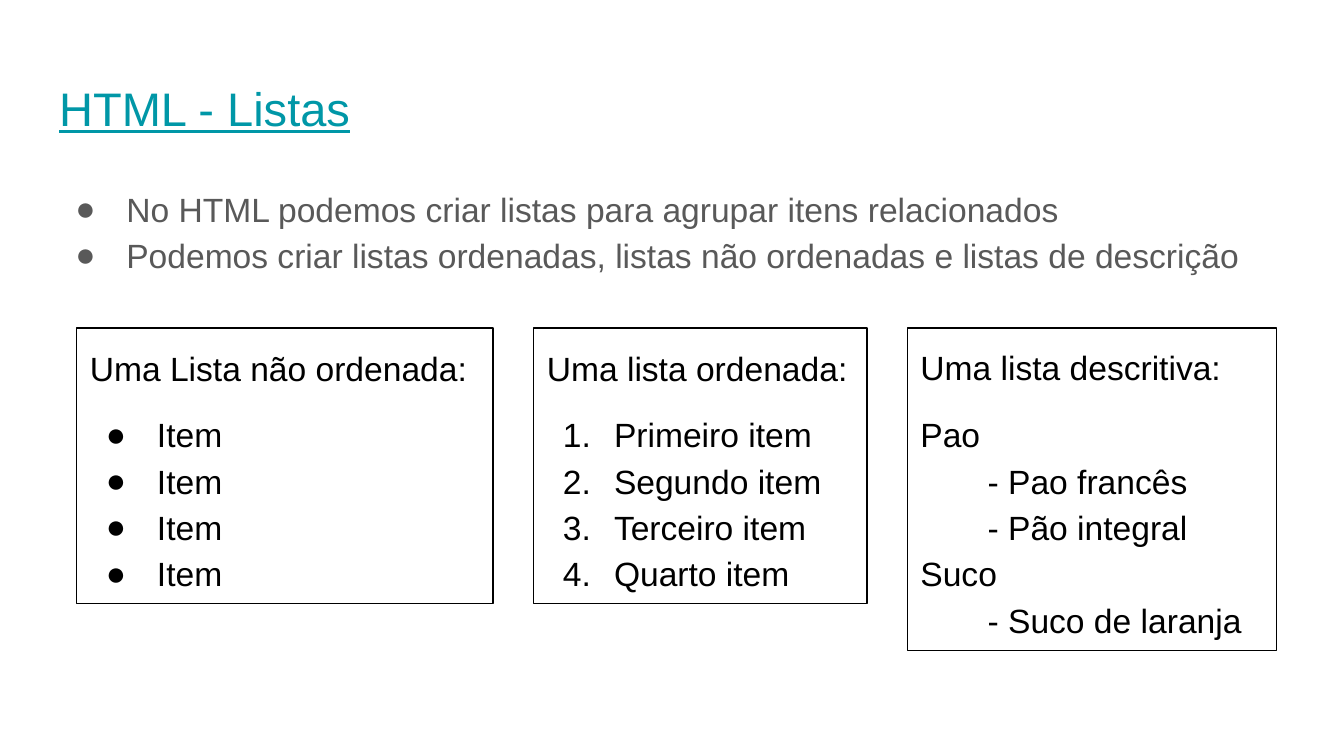
from dataclasses import dataclass

from lxml.etree import SubElement
from pptx import Presentation
from pptx.dml.color import RGBColor
from pptx.enum.shapes import MSO_SHAPE
from pptx.enum.text import MSO_ANCHOR, MSO_AUTO_SIZE, PP_ALIGN
from pptx.oxml.ns import qn
from pptx.util import Inches, Pt


@dataclass(frozen=True)
class Theme:
    """Colours, font and sizes of the slide."""

    font: str = "Arial"
    link: str = "0097A7"
    body: str = "595959"
    ink: str = "000000"
    title_size: float = 25.2
    text_size: float = 18
    line_width: float = 0.75
    line_spacing: float = 1.15
    block_gap: float = 11


THEME = Theme()
SLIDE_WIDTH = Inches(10)
SLIDE_HEIGHT = SLIDE_WIDTH * 9 // 16
COLUMNS = 1000
CELL = SLIDE_WIDTH // COLUMNS
MARGIN, CONTENT_WIDTH = 34, 932
BOX_LEFT, BOX_TOP, BOX_GAP = 57, 244, 30
BOX_PADDING, LINE_ROWS = 30, 35

INDENTS = {
    "plain": (0, 0),
    "nested": (0, 0.5),
    "bullet": (0.5, -0.38),
    "number": (0.5, -0.38),
}
MARKERS = {
    "bullet": ("a:buChar", {"char": "●"}),
    "number": ("a:buAutoNum", {"type": "arabicPeriod"}),
}
TOPICS = [
    ("bullet", "No HTML podemos criar listas para agrupar itens relacionados"),
    ("bullet", "Podemos criar listas ordenadas, listas não ordenadas e listas de descrição"),
]
ORDINALS = ("Primeiro", "Segundo", "Terceiro", "Quarto")
BOXES = [
    (310, "Uma Lista não ordenada:", [("bullet", "Item")] * 4),
    (248, "Uma lista ordenada:", [("number", f"{ordinal} item") for ordinal in ORDINALS]),
    (275, "Uma lista descritiva:", [
        ("plain", "Pao"),
        ("nested", "- Pao francês"),
        ("nested", "- Pão integral"),
        ("plain", "Suco"),
        ("nested", "- Suco de laranja"),
    ]),
]


def apply_format(target, values):
    """Set each named attribute on the target."""
    for name, value in values.items():
        setattr(target, name, value)


def place(column, row, columns, rows):
    """Return a position and size in slide units from grid cells."""
    return {
        "left": column * CELL,
        "top": row * CELL,
        "width": columns * CELL,
        "height": rows * CELL,
    }


def prepare_frame(shape):
    """Give the shape an empty, top-anchored, wrapping text frame."""
    frame = shape.text_frame
    apply_format(frame, {
        "word_wrap": True,
        "auto_size": MSO_AUTO_SIZE.NONE,
        "vertical_anchor": MSO_ANCHOR.TOP,
        **{f"margin_{side}": Inches(0.1) for side in ("left", "top", "right", "bottom")},
    })
    return frame


def write_run(paragraph, text, color, size, underline=None):
    """Add one formatted run of text."""
    run = paragraph.add_run()
    run.text = text
    apply_format(run.font, {"name": THEME.font, "size": Pt(size), "underline": underline})
    run.font.color.rgb = RGBColor.from_string(color)


def add_marker(properties, kind, color):
    """Add a coloured bullet or number to paragraph properties."""
    bullet_color = SubElement(properties, qn("a:buClr"))
    SubElement(bullet_color, qn("a:srgbClr"), val=color)
    SubElement(properties, qn("a:buFont"), typeface=THEME.font)
    tag, attributes = MARKERS[kind]
    SubElement(properties, qn(tag), **attributes)


def write_lines(frame, lines, color, spaced_lines=0):
    """Write list lines, with a gap before the first few of them."""
    for index, (kind, text) in enumerate(lines):
        paragraph = frame.add_paragraph() if index else frame.paragraphs[0]
        apply_format(paragraph, {
            "alignment": PP_ALIGN.LEFT,
            "line_spacing": THEME.line_spacing,
            "space_before": Pt(THEME.block_gap if index < spaced_lines else 0),
            "space_after": Pt(0),
        })
        properties = paragraph._p.get_or_add_pPr()
        for name, length in zip(("marL", "indent"), INDENTS[kind]):
            properties.set(name, str(Inches(length)))
        if kind in MARKERS:
            add_marker(properties, kind, color)
        write_run(paragraph, text, color, THEME.text_size)


def fill_title(slide, text):
    """Place and write the underlined title."""
    title = slide.shapes.title
    apply_format(title, place(MARGIN, 49, CONTENT_WIDTH, 63))
    paragraph = prepare_frame(title).paragraphs[0]
    apply_format(paragraph, {"alignment": PP_ALIGN.LEFT, "space_before": Pt(0)})
    write_run(paragraph, text, THEME.link, THEME.title_size, underline=True)


def fill_body(slide, lines):
    """Place and write the main bullet list."""
    body = slide.placeholders[1]
    apply_format(body, place(MARGIN, 126, CONTENT_WIDTH, 374))
    write_lines(prepare_frame(body), lines, THEME.body)


def add_list_box(slide, column, columns, heading, items):
    """Add an outlined box with a heading and its example list."""
    lines = [("plain", heading), *items]
    area = place(column, BOX_TOP, columns, BOX_PADDING + LINE_ROWS * len(lines))
    box = slide.shapes.add_shape(MSO_SHAPE.RECTANGLE, **area)
    box.shadow.inherit = False
    box.fill.background()
    box.line.color.rgb = RGBColor.from_string(THEME.ink)
    box.line.width = Pt(THEME.line_width)
    write_lines(prepare_frame(box), lines, THEME.ink, spaced_lines=2)


def main():
    """Build and save the slide about HTML lists."""
    presentation = Presentation()
    apply_format(presentation, {"slide_width": SLIDE_WIDTH, "slide_height": SLIDE_HEIGHT})
    slide = presentation.slides.add_slide(presentation.slide_layouts[1])
    fill_title(slide, "HTML - Listas")
    fill_body(slide, TOPICS)
    column = BOX_LEFT
    for columns, heading, items in BOXES:
        add_list_box(slide, column, columns, heading, items)
        column += columns + BOX_GAP
    presentation.save("out.pptx")


if __name__ == "__main__":
    main()
